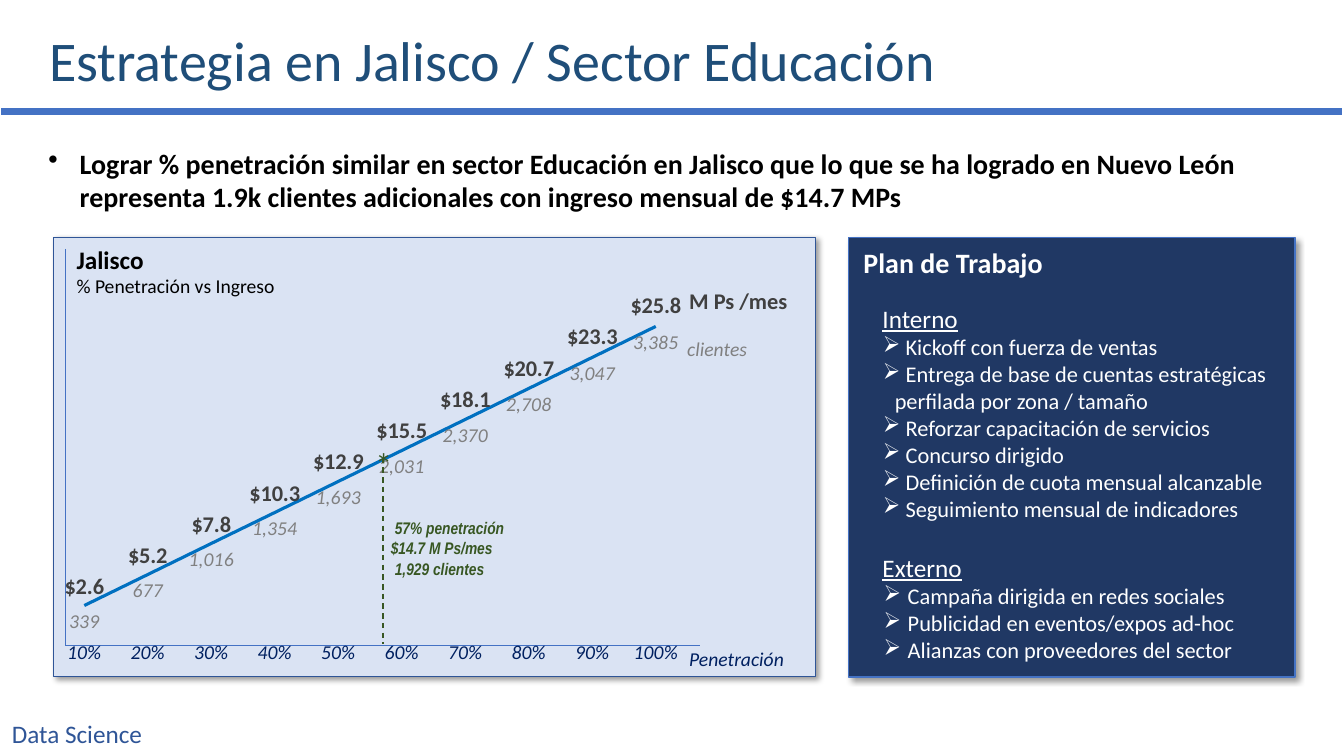
import pptx
import pptx.chart.data
import pptx.dml.color
import pptx.enum.chart
import pptx.enum.dml
import pptx.enum.shapes
import pptx.enum.text
import pptx.oxml
import pptx.oxml.ns
import pptx.util
from lxml import etree

Cm = pptx.util.Cm
Pt = pptx.util.Pt
qn = pptx.oxml.ns.qn

SHADOW = (
    '<a:effectLst xmlns:a="http://schemas.openxmlformats.org/drawingml/2006/main">'
    '<a:outerShdw blurRad="50800" dist="38100" dir="2700000" algn="tl">'
    '<a:srgbClr val="000000"><a:alpha val="40000"/></a:srgbClr>'
    '</a:outerShdw></a:effectLst>'
)

INTERNAL = [
    "Kickoff con fuerza de ventas",
    "Entrega de base de cuentas estratégicas perfilada por zona / tamaño",
    "Reforzar capacitación de servicios",
    "Concurso dirigido",
    "Definición de cuota mensual alcanzable",
    "Seguimiento mensual de indicadores",
]
EXTERNAL = [
    "Campaña dirigida en redes sociales",
    "Publicidad en eventos/expos ad-hoc",
    "Alianzas con proveedores del sector",
]

PENETRATION = [step / 10 for step in range(1, 11)]
CLIENTS = [339, 677, 1016, 1354, 1693, 2031, 2370, 2708, 3047, 3385]
INCOME = [2.6, 5.2, 7.8, 10.3, 12.9, 15.5, 18.1, 20.7, 23.3, 25.8]


def paint(color_format, color):
    color_format.rgb = pptx.dml.color.RGBColor.from_string(color)


def apply(target, values):
    for name, value in values.items():
        setattr(target, name, value)


def set_font(font, size, color, **values):
    apply(font, {"name": "Calibri", "size": Pt(size), **values})
    paint(font.color, color)


def add_box(page, left, top, width, height):
    box = page.shapes.add_textbox(Cm(left), Cm(top), Cm(width), Cm(height))
    box.text_frame.word_wrap = True
    return box


def add_para(box, text, size, color, margin=0, hanging=0, bullet=None, layout=None, **font):
    frame = box.text_frame
    para = frame.add_paragraph() if frame.paragraphs[0].runs else frame.paragraphs[0]
    apply(para, layout or {})
    properties = para._p.get_or_add_pPr()
    properties.set("marL", str(Cm(margin)))
    properties.set("indent", str(-Cm(hanging)))
    if bullet:
        etree.SubElement(properties, qn("a:buChar")).set("char", bullet)
    span = para.add_run()
    span.text = text
    set_font(span.font, size, color, **font)


def add_label(page, place, text, size, color, **values):
    add_para(add_box(page, *place), text, size, color, **values)


def add_panel(page, place, fill, line, width):
    panel = page.shapes.add_shape(
        pptx.enum.shapes.MSO_SHAPE.RECTANGLE, *[Cm(length) for length in place])
    panel.fill.solid()
    paint(panel.fill.fore_color, fill)
    paint(panel.line.color, line)
    panel.line.width = Pt(width)
    panel._element.spPr.append(pptx.oxml.parse_xml(SHADOW))


def add_line(page, place, color, width, dash=None):
    line = page.shapes.add_connector(
        pptx.enum.shapes.MSO_CONNECTOR.STRAIGHT, *[Cm(length) for length in place])
    paint(line.line.color, color)
    apply(line.line, {"width": Pt(width), "dash_style": dash})
    etree.SubElement(line._element.spPr, qn("a:effectLst"))


def place_plot(chart, **position):
    area = chart._chartSpace.chart.plotArea
    for old in area.findall(qn("c:layout")):
        area.remove(old)
    layout = etree.Element(qn("c:layout"))
    area.insert(0, layout)
    manual = etree.SubElement(layout, qn("c:manualLayout"))
    settings = {"layoutTarget": "inner", "xMode": "edge", "yMode": "edge", **position}
    for name, value in settings.items():
        etree.SubElement(manual, qn("c:" + name)).set("val", str(value))


def add_income_chart(page):
    position = pptx.enum.chart.XL_LABEL_POSITION
    series_formats = [
        ("Series 1", PENETRATION, None, position.BELOW, "0%",
         {"size": 14, "color": "002060", "italic": True}),
        ("Series 2", CLIENTS, "0070C0", position.BELOW, "#,##0",
         {"size": 14, "color": "808080", "italic": True}),
        ("Series 3", INCOME, None, position.ABOVE, '"$"#,##0.0',
         {"size": 16, "color": "404040", "bold": True}),
    ]
    data = pptx.chart.data.CategoryChartData()
    data.categories = [str(number) for number in range(1, 11)]
    for name, values, *_ in series_formats:
        data.add_series(name, values)
    chart = page.shapes.add_chart(
        pptx.enum.chart.XL_CHART_TYPE.LINE_STACKED,
        Cm(0.99), Cm(5.03), Cm(16.69), Cm(13.08), data).chart
    apply(chart, {"has_legend": False, "has_title": False})
    set_font(chart.font, 10, "000000")
    chart.plots[0].vary_by_categories = False
    chart.category_axis.visible = False
    apply(chart.value_axis, {"visible": False, "has_major_gridlines": False,
                             "minimum_scale": 0, "maximum_scale": 4000})
    for series, (_, _, color, place, number_format, font) in zip(chart.plots[0].series, series_formats):
        series.smooth = False
        series.marker.style = pptx.enum.chart.XL_MARKER_STYLE.NONE
        if color:
            paint(series.format.line.color, color)
            series.format.line.width = Pt(2.25)
        else:
            series.format.line.fill.background()
        apply(series.data_labels, {"show_value": True, "position": place,
                                   "number_format": number_format,
                                   "number_format_is_linked": False})
        set_font(series.data_labels.font, **font)
    place_plot(chart, x=0.02, y=0.136, w=0.959, h=0.706)


def add_header(page):
    add_line(page, (0.03, 2.82, 33.81, 2.82), "4472C4", 5)
    add_label(page, (0.05, 17.98, 5.08, 1.02), "Data Science", 18, "2F5597")
    add_label(page, (0.99, 0.71, 31.88, 3.68), "Estrategia en Jalisco / Sector Educación",
              40, "1F4E79", layout={"line_spacing": 0.9})
    add_label(page, (0.97, 3.56, 31.88, 1.96),
              "Lograr % penetración similar en sector Educación en Jalisco que lo que se ha "
              "logrado en Nuevo León representa 1.9k clientes adicionales con ingreso mensual "
              "de $14.7 MPs",
              20, "000000", margin=0.79, hanging=0.79, bullet="•", bold=True)


def add_work_plan(page):
    add_panel(page, (21.39, 5.99, 11.25, 11.07), "203864", "4472C4", 1)
    box = add_box(page, 21.51, 6.07, 12.14, 10.95)
    add_para(box, "Plan de Trabajo", 20, "FFFFFF", bold=True)
    groups = [("Interno", 17, INTERNAL, 0.79, 0.3), ("Externo", 22, EXTERNAL, 0.99, 0.48)]
    for heading, gap, tasks, margin, hanging in groups:
        add_para(box, heading, 18, "FFFFFF", margin=0.48,
                 layout={"space_before": Pt(gap)}, underline=True)
        for task in tasks:
            add_para(box, " " + task, 16, "FFFFFF", margin=margin, hanging=hanging, bullet="➢")


def add_jalisco(page):
    add_panel(page, (1.35, 5.97, 19.2, 11.07), "DAE3F3", "2F5597", 0.5)
    add_line(page, (17.63, 16.26, 1.63, 16.26), "4472C4", 1)
    add_line(page, (1.65, 6.27, 1.65, 16.28), "4472C4", 1)
    add_label(page, (17.12, 16.18, 4.37, 0.86), "Penetración", 14, "002060", italic=True)
    add_label(page, (17.07, 8.36, 4.37, 0.86), "clientes", 14, "808080", italic=True)
    add_label(page, (17.12, 7.11, 4.37, 0.94), "M Ps /mes", 16, "404040", bold=True)
    add_income_chart(page)
    heading = add_box(page, 1.68, 6.02, 18.85, 1.63)
    add_para(heading, "Jalisco", 18, "000000", bold=True)
    add_para(heading, "% Penetración vs Ingreso", 14, "000000")


def add_target(page):
    add_label(page, (8.64, 11.05, 2.06, 1.27), "*", 24, "385723",
              layout={"alignment": pptx.enum.text.PP_ALIGN.CENTER})
    note = add_box(page, 9.32, 12.93, 3.96, 1.8)
    for text, margin in [("57% penetración", 0.38), ("$14.7 M Ps/mes", 0.28),
                         ("1,929 clientes", 0.38)]:
        add_para(note, text, 12, "385723", margin=margin, name="Arial Narrow",
                 bold=True, italic=True)
    add_line(page, (9.65, 11.53, 9.65, 16.23), "385723", 1,
             pptx.enum.dml.MSO_LINE.DASH)


def main():
    deck = pptx.Presentation()
    apply(deck, {"slide_width": Cm(33.87), "slide_height": Cm(19.05)})
    page = deck.slides.add_slide(deck.slide_layouts[6])
    add_header(page)
    add_work_plan(page)
    add_jalisco(page)
    add_target(page)
    deck.save("out.pptx")


if __name__ == "__main__":
    main()
